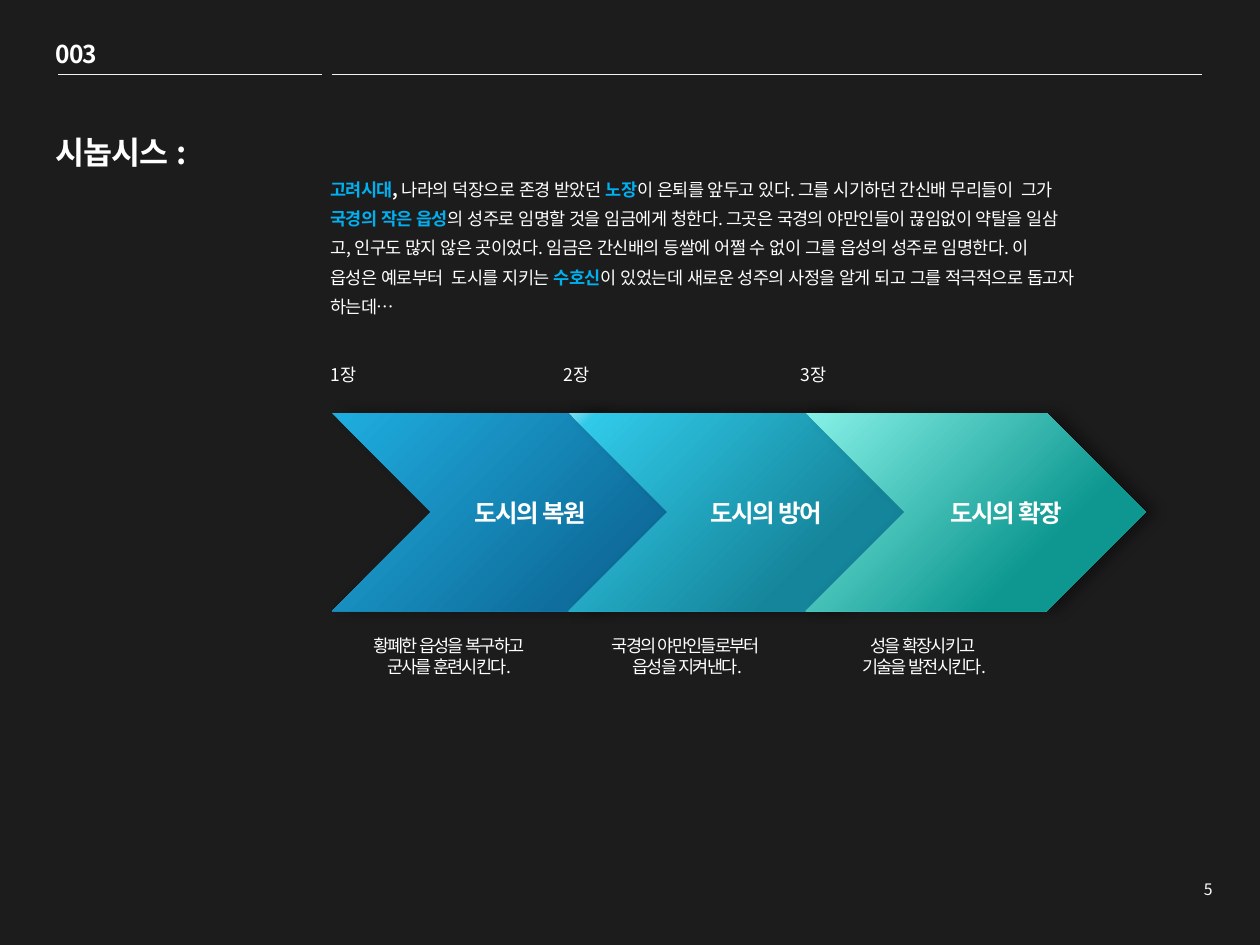
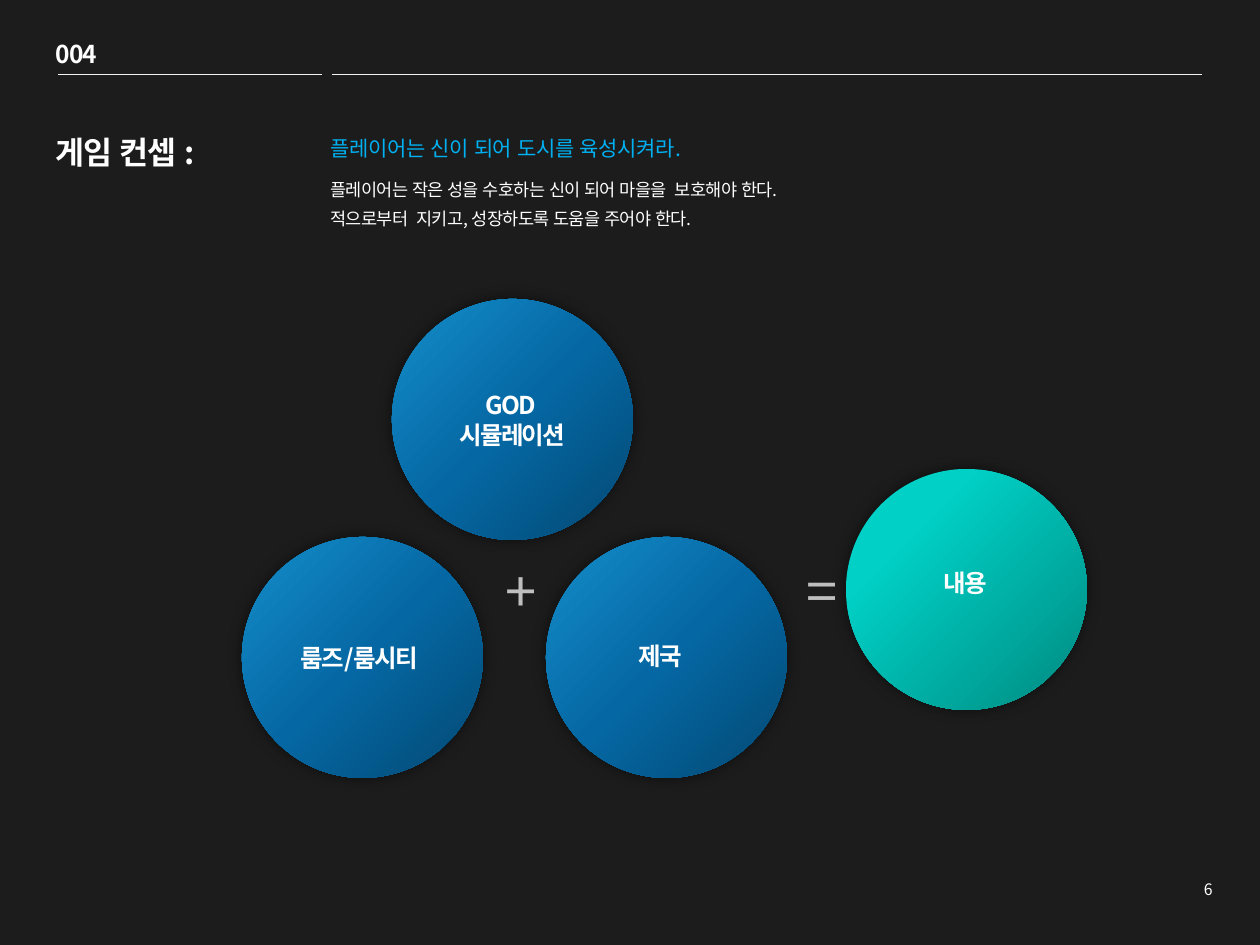
from dataclasses import dataclass, replace
from typing import NamedTuple

from lxml.etree import SubElement
from pptx import Presentation
from pptx.dml.color import RGBColor
from pptx.enum.lang import MSO_LANGUAGE_ID
from pptx.enum.shapes import MSO_CONNECTOR, MSO_SHAPE
from pptx.enum.text import MSO_ANCHOR, MSO_AUTO_SIZE, PP_ALIGN
from pptx.oxml.ns import qn
from pptx.util import Emu, Pt

SCALE = 914400 / 126
FONT = "Noto Sans CJK KR"
BACKGROUND = "1C1C1C"
WHITE = "FFFFFF"
ACCENT = "00B0F0"
RULE = "F2F2F2"
OPERATOR = "BFBFBF"


@dataclass(frozen=True)
class Style:
    size: float
    color: str = WHITE
    bold: bool = False
    spacing: float = 0
    align: PP_ALIGN = PP_ALIGN.LEFT
    leading: float | None = None
    wrap: bool = True


class Box(NamedTuple):
    x: int
    y: int
    w: int
    h: int


class Span(NamedTuple):
    text: str
    color: str = WHITE
    bold: bool = False


class Stop(NamedTuple):
    percent: int
    color: str


class Shadow(NamedTuple):
    opacity: int
    distance: int


class Chapter(NamedTuple):
    heading: str
    heading_x: int
    label: str
    label_x: int
    caption: list[str]
    width: int
    stops: list[Stop]
    shadow: Shadow


class Circle(NamedTuple):
    x: int
    y: int
    stops: list[Stop]
    lines: list[str]
    label: Box


TITLE = Style(18, bold=True, spacing=-0.5)
SECTION = Style(14, bold=True, spacing=-0.5, wrap=False)
PAGE = Style(9, align=PP_ALIGN.RIGHT, wrap=False)
LABEL = Style(14, bold=True, spacing=-1, align=PP_ALIGN.CENTER)
HEADING = Style(10)
BODY = Style(10, spacing=-0.3, leading=1.4)
CAPTION = Style(10, spacing=-1, align=PP_ALIGN.CENTER)
TAGLINE = Style(12, ACCENT, spacing=-0.2)
SIGN = Style(32, OPERATOR, spacing=-0.5, align=PP_ALIGN.CENTER, leading=1.2)


def px(n: int) -> Emu:
    return Emu(round(n * SCALE))


def rgb(color: str) -> RGBColor:
    return RGBColor.from_string(color)


def place(box: Box) -> list[Emu]:
    return [px(n) for n in box]


def format_run(r, style: Style) -> None:
    r.font.size = Pt(style.size)
    r.font.bold = style.bold
    r.font.name = FONT
    r.font.language_id = MSO_LANGUAGE_ID.KOREAN
    r.font.color.rgb = rgb(style.color)
    rpr = r.font._element
    rpr.set("spc", str(round(style.spacing * 100)))
    rpr.set("kern", "0")
    SubElement(rpr, qn("a:ea")).set("typeface", FONT)


def format_paragraph(p, style: Style) -> None:
    p.alignment = style.align
    if style.leading:
        p.line_spacing = style.leading
    for r in p.runs:
        format_run(r, style)


def add_text(slide, box: Box, lines: list[str], style: Style):
    tf = slide.shapes.add_textbox(*place(box)).text_frame
    tf.word_wrap = style.wrap
    tf.auto_size = MSO_AUTO_SIZE.SHAPE_TO_FIT_TEXT
    tf.text = "\n".join(lines)
    for p in tf.paragraphs:
        format_paragraph(p, style)
    return tf


def add_spans(slide, box: Box, spans: list[Span], style: Style) -> None:
    p = add_text(slide, box, [], style).paragraphs[0]
    for span in spans:
        r = p.add_run()
        r.text = span.text
        format_run(r, replace(style, color=span.color, bold=span.bold))


def add_rule(slide, left: int, right: int, y: int) -> None:
    line = slide.shapes.add_connector(
        MSO_CONNECTOR.STRAIGHT, px(left), px(y), px(right), px(y)
    )
    line.line.color.rgb = rgb(RULE)
    line.line.width = Pt(0.25)
    SubElement(line._element.spPr, qn("a:effectLst"))


def set_gradient(sp, stops: list[Stop], radial: bool) -> None:
    sp.fill.gradient()
    grad = sp._element.spPr.find(qn("a:gradFill"))
    for child in list(grad):
        grad.remove(child)
    stop_list = SubElement(grad, qn("a:gsLst"))
    for stop in stops:
        gs = SubElement(stop_list, qn("a:gs"), pos=str(stop.percent * 1000))
        SubElement(gs, qn("a:srgbClr"), val=stop.color)
    if radial:
        circle = SubElement(grad, qn("a:path"), path="circle")
        SubElement(circle, qn("a:fillToRect"), l="100000", t="100000")
        SubElement(grad, qn("a:tileRect"), r="-100000", b="-100000")
    else:
        SubElement(grad, qn("a:lin"), ang=str(45 * 60000), scaled="0")


def set_shadow(sp, shadow: Shadow) -> None:
    sp.shadow.inherit = False
    effects = sp._element.spPr.find(qn("a:effectLst"))
    outer = SubElement(
        effects, qn("a:outerShdw"), blurRad=str(Pt(8)),
        dist=str(Pt(shadow.distance)), dir="0", algn="ctr", rotWithShape="0",
    )
    color = SubElement(outer, qn("a:srgbClr"), val="000000")
    SubElement(color, qn("a:alpha"), val=str(shadow.opacity * 1000))


def add_gradient_shape(slide, kind: MSO_SHAPE, box: Box, stops: list[Stop],
                       shadow: Shadow, radial: bool = False) -> None:
    sp = slide.shapes.add_shape(kind, *place(box))
    set_gradient(sp, stops, radial)
    sp.line.fill.background()
    set_shadow(sp, shadow)


def add_slide(prs, section: str, title: str, page: int):
    slide = prs.slides.add_slide(prs.slide_layouts[5])
    sp = slide.shapes.title
    sp.left, sp.top, sp.width, sp.height = place(Box(43, 127, 258, 203))
    tf = sp.text_frame
    tf.text = title
    tf.word_wrap = True
    tf.auto_size = MSO_AUTO_SIZE.NONE
    tf.vertical_anchor = MSO_ANCHOR.TOP
    format_paragraph(tf.paragraphs[0], TITLE)
    add_text(slide, Box(43, 33, 68, 43), [section], SECTION)
    add_rule(slide, 58, 322, 74)
    add_rule(slide, 332, 1202, 74)
    add_text(slide, Box(1190, 874, 35, 32), [str(page)], PAGE)
    return slide


SYNOPSIS = [
    Span("고려시대", ACCENT, True),
    Span(", ", bold=True),
    Span("나라의 덕장으로 존경 받았던 "),
    Span("노장", ACCENT, True),
    Span("이 은퇴를 앞두고 있다. 그를 시기하던 간신배 무리들이  그가 "),
    Span("국경의 작은 읍성", ACCENT, True),
    Span("의 성주로 임명할 것을 임금에게 청한다. 그곳은 국경의 야만인들이 "
         "끊임없이 약탈을 일삼고, 인구도 많지 않은 곳이었다. 임금은 간신배의 "
         "등쌀에 어쩔 수 없이 그를 읍성의 성주로 임명한다. "
         "이 읍성은 예로부터  도시를 지키는 "),
    Span("수호신", ACCENT, True),
    Span("이 있었는데 새로운 성주의 사정을 알게 되고 그를 적극적으로 "
         "돕고자 하는데…"),
]

CHAPTERS = [
    Chapter("1장", 318, "도시의 복원", 443,
            ["황폐한 읍성을 복구하고 ", "군사를 훈련시킨다. "],
            360, [Stop(0, "1FADDF"), Stop(75, "0F6E9D")], Shadow(38, 6)),
    Chapter("2장", 551, "도시의 방어", 679,
            ["국경의 야만인들로부터 ", "읍성을 지켜낸다."],
            360, [Stop(1, "78DCF0"), Stop(5, "30C9E8"), Stop(70, "15859B")],
            Shadow(55, 6)),
    Chapter("3장", 788, "도시의 확장", 919,
            ["성을 확장시키고 ", "기술을 발전시킨다."],
            340, [Stop(0, "87F1E7"), Stop(70, "0D9790")], Shadow(38, 6)),
]

BLUE = [Stop(0, "034973"), Stop(50, "0568A4"), Stop(100, "148DCA")]
TEAL = [Stop(0, "008A80"), Stop(74, "00D0C6")]
CIRCLES = [
    Circle(546, 537, BLUE, ["제국"], Box(579, 635, 163, 43)),
    Circle(242, 537, BLUE, ["룸즈/룸시티"], Box(278, 637, 163, 43)),
    Circle(846, 469, TEAL, ["내용"], Box(884, 562, 163, 43)),
    Circle(392, 299, BLUE, ["GOD ", "시뮬레이션"], Box(431, 384, 163, 72)),
]


def build_synopsis(prs) -> None:
    slide = add_slide(prs, "003", "시놉시스 :", 5)
    add_spans(slide, Box(318, 164, 770, 161), SYNOPSIS, BODY)
    left, step = 332, 237
    for i, chapter in enumerate(CHAPTERS):
        x = left + i * step
        add_gradient_shape(slide, MSO_SHAPE.CHEVRON,
                           Box(x, 413, chapter.width, 198),
                           chapter.stops, chapter.shadow)
        add_text(slide, Box(x, 629, step, 55), chapter.caption, CAPTION)
    for chapter in CHAPTERS:
        add_text(slide, Box(chapter.heading_x, 358, 159, 34),
                 [chapter.heading], HEADING)
        add_text(slide, Box(chapter.label_x, 492, 175, 43),
                 [chapter.label], LABEL)


def build_concept(prs) -> None:
    slide = add_slide(prs, "004", "게임 컨셉 :", 6)
    add_text(slide, Box(318, 129, 670, 38),
             ["플레이어는 신이 되어 도시를 육성시켜라."], TAGLINE)
    add_text(slide, Box(318, 164, 770, 72),
             ["플레이어는 작은 성을 수호하는 신이 되어 마을을  보호해야 한다.",
              "적으로부터  지키고, 성장하도록 도움을 주어야 한다."], BODY)
    diameter = 241
    for circle in CIRCLES:
        add_gradient_shape(slide, MSO_SHAPE.OVAL,
                           Box(circle.x, circle.y, diameter, diameter),
                           circle.stops, Shadow(52, 0), radial=True)
        add_text(slide, circle.label, circle.lines, LABEL)
    for sign, x in (("+", 493), ("=", 794)):
        add_text(slide, Box(x, 537, 38, 87), [sign], SIGN)


prs = Presentation()
prs.slide_width, prs.slide_height = px(1260), px(945)
fill = prs.slide_master.background.fill
fill.solid()
fill.fore_color.rgb = rgb(BACKGROUND)
build_synopsis(prs)
build_concept(prs)
prs.save("out.pptx")
